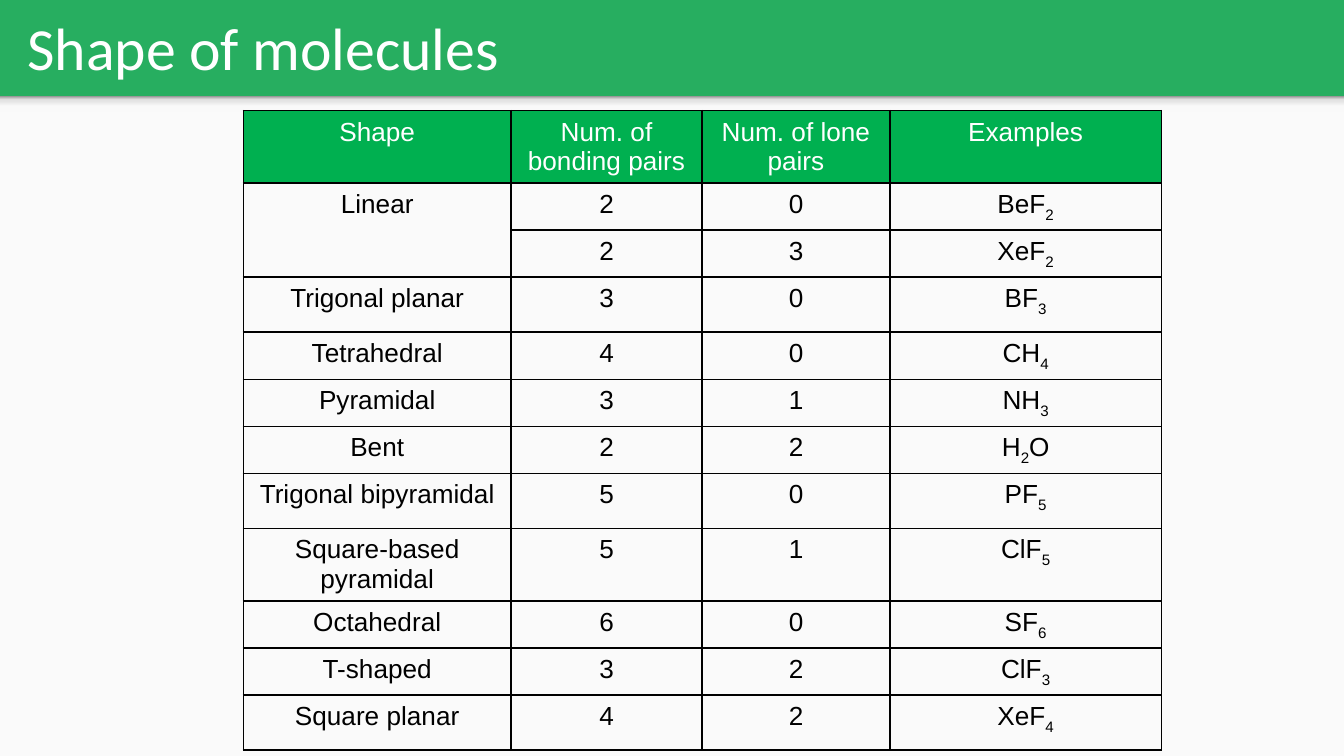
import copy
from dataclasses import dataclass

import pptx
import pptx.dml.color
import pptx.enum.shapes
import pptx.enum.text
import pptx.oxml
import pptx.oxml.ns
import pptx.util
from pptx.util import Cm


@dataclass(frozen=True)
class Theme:
    band: str = "27AE60"
    page: str = "FAFAFA"
    header: str = "00B050"
    light: str = "FFFFFF"
    dark: str = "000000"
    shadow: tuple = ((0, "F9F9F9"), (0.36, "F9F9F9"), (0.8, "DEDEDE"), (1, "999999"))
    title_font: str = "Calibri"
    table_font: str = "Arial"
    title_size: int = 32
    table_size: int = 14
    border_pt: int = 1


def rgb(value):
    return pptx.dml.color.RGBColor.from_string(value)


def add_text(p, text, *, font, size, color, subscript=False):
    """Add a run to a paragraph in the given format."""
    r = p.add_run()
    r.text = text
    r.font.name = font
    r.font.size = pptx.util.Pt(size)
    r.font.color.rgb = rgb(color)
    r.font.bold = False
    if subscript:
        r._r.get_or_add_rPr().set("baseline", "-25000")


class SlideBuilder:
    def __init__(self, prs, theme):
        self.theme = theme
        self.s = prs.slides.add_slide(prs.slide_layouts[5])
        fill = self.s.background.fill
        fill.solid()
        fill.fore_color.rgb = rgb(theme.band)

    def rect(self, left, top, width, height):
        sp = self.s.shapes.add_shape(
            pptx.enum.shapes.MSO_SHAPE.RECTANGLE, Cm(left), Cm(top), Cm(width), Cm(height))
        sp.shadow.inherit = False
        sp.line.fill.background()
        return sp

    def panel(self, *box):
        sp = self.rect(*box)
        sp.fill.solid()
        sp.fill.fore_color.rgb = rgb(self.theme.page)

    def shadow_strip(self, *box):
        """Draw a strip that is darkest at its top edge."""
        fill = self.rect(*box).fill
        fill.gradient()
        fill.gradient_angle = 90
        stops = fill.gradient_stops
        stop_list = stops[0]._gs.getparent()
        for _ in range(len(self.theme.shadow) - len(stops)):
            stop_list.append(copy.deepcopy(stop_list[-1]))
        for stop, (position, color) in zip(fill.gradient_stops, self.theme.shadow):
            stop.position = position
            stop.color.rgb = rgb(color)

    def title(self, text, left, top, width, height):
        sp = self.s.shapes.title
        sp.left, sp.top, sp.width, sp.height = Cm(left), Cm(top), Cm(width), Cm(height)
        tf = sp.text_frame
        tf.margin_left = tf.margin_right = tf.margin_top = tf.margin_bottom = Cm(0.25)
        tf.vertical_anchor = pptx.enum.text.MSO_ANCHOR.MIDDLE
        p = tf.paragraphs[0]
        p.alignment = pptx.enum.text.PP_ALIGN.LEFT
        add_text(p, text, font=self.theme.title_font, size=self.theme.title_size,
                 color=self.theme.light)

    def borders(self, cell):
        tc_pr = cell._tc.get_or_add_tcPr()
        width = pptx.util.Pt(self.theme.border_pt)
        for side in "LRTB":
            tc_pr.append(pptx.oxml.parse_xml(
                f'<a:ln{side} {pptx.oxml.ns.nsdecls("a")} w="{width}"><a:solidFill>'
                f'<a:srgbClr val="{self.theme.dark}"/></a:solidFill></a:ln{side}>'))

    def cell(self, cell, text, is_header, is_formula):
        self.borders(cell)
        if is_header:
            cell.fill.solid()
            cell.fill.fore_color.rgb = rgb(self.theme.header)
        else:
            cell.fill.background()
        if not text:
            return
        p = cell.text_frame.paragraphs[0]
        p.alignment = pptx.enum.text.PP_ALIGN.CENTER
        # Digits in a formula are subscripts
        for part in split_digits(text) if is_formula else [text]:
            add_text(p, part, font=self.theme.table_font, size=self.theme.table_size,
                     color=self.theme.light if is_header else self.theme.dark,
                     subscript=is_formula and part.isdigit())

    def table(self, rows, left, top, widths, heights):
        frame = self.s.shapes.add_table(
            len(rows), len(widths), Cm(left), Cm(top), Cm(sum(widths)), Cm(sum(heights)))
        table = frame.table
        table.first_row = table.horz_banding = False
        for column, width in zip(table.columns, widths):
            column.width = Cm(width)
        for row, height in zip(table.rows, heights):
            row.height = Cm(height)
        for i, values in enumerate(rows):
            for j, text in enumerate(values):
                is_formula = i > 0 and j == len(widths) - 1
                self.cell(table.cell(i, j), text, i == 0, is_formula)
        # A row without a shape name continues the one above
        for i, values in enumerate(rows):
            if not values[0]:
                table.cell(i - 1, 0).merge(table.cell(i, 0))


def split_digits(formula):
    parts = []
    for char in formula:
        if parts and parts[-1].isdigit() == char.isdigit():
            parts[-1] += char
        else:
            parts.append(char)
    return parts


ROWS = [
    ("Shape", "Num. of bonding pairs", "Num. of lone pairs", "Examples"),
    ("Linear", "2", "0", "BeF2"),
    ("", "2", "3", "XeF2"),
    ("Trigonal planar", "3", "0", "BF3"),
    ("Tetrahedral", "4", "0", "CH4"),
    ("Pyramidal", "3", "1", "NH3"),
    ("Bent", "2", "2", "H2O"),
    ("Trigonal bipyramidal", "5", "0", "PF5"),
    ("Square-based pyramidal", "5", "1", "ClF5"),
    ("Octahedral", "6", "0", "SF6"),
    ("T-shaped", "3", "2", "ClF3"),
    ("Square planar", "4", "2", "XeF4"),
]
NORMAL, TALL, DOUBLE = 0.89, 1.04, 1.37
SPECIAL_HEIGHTS = {0: DOUBLE, 3: TALL, 7: TALL, 8: DOUBLE, 11: TALL}


def main():
    prs = pptx.Presentation()
    prs.slide_width, prs.slide_height = Cm(25.4), Cm(14.29)
    slide = SlideBuilder(prs, Theme())

    # Page below the title band
    slide.panel(0, 1.82, 25.4, 12.47)
    slide.shadow_strip(0, 1.82, 25.4, 0.3)
    slide.title("Shape of molecules", 0.27, 0.05, 24.5, 1.68)

    # Molecule shapes
    heights = [SPECIAL_HEIGHTS.get(i, NORMAL) for i in range(len(ROWS))]
    slide.table(ROWS, 4.6, 2.09, [5.06, 3.61, 3.55, 5.13], heights)

    prs.save("out.pptx")


if __name__ == "__main__":
    main()
